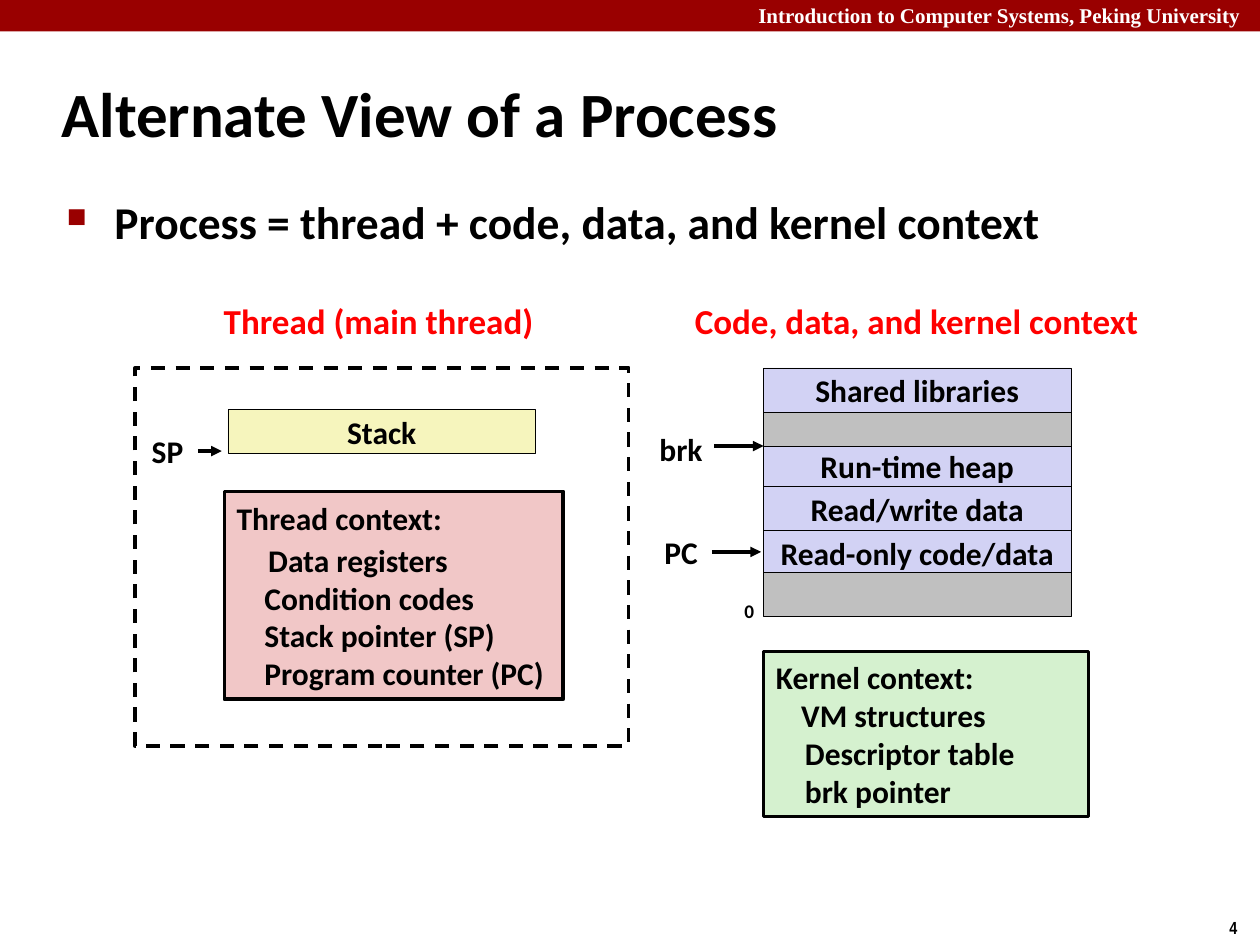
from dataclasses import dataclass

from lxml import etree
from pptx import Presentation, util as u
from pptx.dml.color import RGBColor
from pptx.enum import dml, shapes, text
from pptx.oxml.ns import qn

COLUMNS, ROWS = 100, 75
CELL = u.Inches(0.1)


@dataclass(frozen=True)
class Theme:
    font: str = "Calibri"
    header_font: str = "Times New Roman"
    number_font: str = "Arial Narrow"
    black: str = "000000"
    white: str = "FFFFFF"
    crimson: str = "990000"
    red: str = "FF0000"
    lilac: str = "D2D2F4"
    gray: str = "C0C0C0"
    yellow: str = "F6F5BD"
    pink: str = "F1C7C7"
    green: str = "D5F1CF"
    title: int = 36
    bullet: int = 26
    heading: int = 20
    label: int = 18
    header: int = 12
    zero: int = 11
    number: int = 10
    thin: float = 0.25
    thick: float = 2


THEME = Theme()
CENTER, LEFT = text.PP_ALIGN.CENTER, text.PP_ALIGN.LEFT
MIDDLE, TOP = text.MSO_ANCHOR.MIDDLE, text.MSO_ANCHOR.TOP


def grid(*cells):
    return [round(cell * CELL) for cell in cells]


def apply(target, values):
    for name, value in values.items():
        setattr(target, name, value)


def write(paragraph, words, size=THEME.label, color=THEME.black,
          font=THEME.font, align=CENTER):
    paragraph.text = words
    paragraph.alignment = align
    apply(paragraph.font, {"name": font, "size": u.Pt(size), "bold": True})
    paragraph.font.color.rgb = RGBColor.from_string(color)


def add_label(slide, area, words, anchor=MIDDLE, wrap=False, **style):
    frame = slide.shapes.add_textbox(*grid(*area)).text_frame
    apply(frame, {"word_wrap": wrap, "vertical_anchor": anchor})
    write(frame.paragraphs[0], words, **style)


def add_box(slide, area, fill=None, weight=THEME.thin, words=""):
    shape = slide.shapes.add_shape(shapes.MSO_SHAPE.RECTANGLE, *grid(*area))
    shape.shadow.inherit = False
    if fill:
        shape.fill.solid()
        shape.fill.fore_color.rgb = RGBColor.from_string(fill)
    else:
        shape.fill.background()
    if weight:
        shape.line.color.rgb = RGBColor.from_string(THEME.black)
        shape.line.width = u.Pt(weight)
    else:
        shape.line.fill.background()
    if words:
        apply(shape.text_frame, {"word_wrap": False, "vertical_anchor": MIDDLE})
        write(shape.text_frame.paragraphs[0], words)
    return shape


def add_context(slide, area, fill, heading, items, gap=0):
    frame = add_box(slide, area, fill, THEME.thick).text_frame
    apply(frame, {"word_wrap": True, "vertical_anchor": MIDDLE})
    write(frame.paragraphs[0], heading, align=LEFT)
    for index, (words, indent) in enumerate(items):
        paragraph = frame.add_paragraph()
        paragraph._p.get_or_add_pPr().set("marL", str(u.Inches(indent)))
        write(paragraph, words, align=LEFT)
        paragraph.space_before = u.Pt(0 if index else gap)


def add_bullet(slide, area, words):
    frame = slide.shapes.add_textbox(*grid(*area)).text_frame
    frame.word_wrap = True
    paragraph = frame.paragraphs[0]
    properties = paragraph._p.get_or_add_pPr()
    indent = u.Inches(0.38)
    apply_xml = {"marL": indent, "indent": -indent}
    for name, value in apply_xml.items():
        properties.set(name, str(value))
    color = etree.SubElement(properties, qn("a:buClr"))
    etree.SubElement(color, qn("a:srgbClr"), val=THEME.crimson)
    etree.SubElement(properties, qn("a:buSzPct"), val="60000")
    etree.SubElement(properties, qn("a:buChar"), char="■")
    write(paragraph, words, size=THEME.bullet, align=LEFT)


def add_arrow(slide, start, end, row):
    arrow = slide.shapes.add_connector(
        shapes.MSO_CONNECTOR.STRAIGHT, *grid(start, row, end, row))
    arrow.line.color.rgb = RGBColor.from_string(THEME.black)
    arrow.line.width = u.Pt(THEME.thick)
    etree.SubElement(arrow.line._get_or_add_ln(), qn("a:tailEnd"), type="triangle")
    etree.SubElement(arrow._element.spPr, qn("a:effectLst"))


def add_header(slide):
    add_box(slide, (0, 0, COLUMNS, 2.5), THEME.crimson, weight=0)
    add_label(slide, (59.2, -0.3, 41.5, 3),
              "Introduction to Computer Systems, Peking University", TOP, True,
              size=THEME.header, color=THEME.white, font=THEME.header_font, align=LEFT)
    add_label(slide, (96.6, 72.3, 3.4, 2.7), "4", TOP,
              size=THEME.number, font=THEME.number_font, align=LEFT)


def add_thread(slide):
    add_label(slide, (16.6, 23.2, 26.9, 4.4), "Thread (main thread)",
              size=THEME.heading, color=THEME.red)
    add_box(slide, (18.1, 32.5, 24.4, 3.5), THEME.yellow, words="Stack")
    add_context(slide, (17.8, 39, 26.9, 16.5), THEME.pink, "Thread context:", [
        ("Data registers", 0.25),
        ("Condition codes", 0.22),
        ("Stack pointer (SP)", 0.22),
        ("Program counter (PC)", 0.22),
    ], gap=2.4)
    frame = add_box(slide, (10.7, 29.2, 39.2, 30), weight=THEME.thick)
    frame.line.dash_style = dml.MSO_LINE.DASH


def add_memory(slide):
    add_label(slide, (53.6, 23.2, 38.3, 4.4), "Code, data, and kernel context",
              size=THEME.heading, color=THEME.red)
    segments = [
        ("Shared libraries", 3.5, 3.5),
        ("", 2.7, 2.8),
        ("Run-time heap", 3.2, 3.2),
        ("Read/write data", 3.5, 3.5),
        ("Read-only code/data", 3.3, 3.5),
        ("", 3.5, 3.5),
    ]
    row = 29.2
    for words, step, height in segments:
        fill = THEME.lilac if words else THEME.gray
        add_box(slide, (60.6, row, 24.4, height), fill, words=words)
        row += step
    add_label(slide, (58.1, 47.1, 2.8, 2.9), "0", TOP, size=THEME.zero, align=LEFT)
    add_context(slide, (60.6, 51.7, 25.8, 13.1), THEME.green, "Kernel context:", [
        ("VM structures", 0.2),
        ("Descriptor table", 0.23),
        ("brk pointer", 0.23),
    ])


def add_pointers(slide):
    pointers = [
        ("SP", (11, 33.8, 4.6, 4), (15.7, 17.6, 35.8)),
        ("PC", (51.7, 41.8, 4.7, 4), (56.5, 60.4, 43.8)),
        ("brk", (51.3, 33.6, 5.5, 4), (56.7, 60.6, 35.4)),
    ]
    for words, area, arrow in pointers:
        add_label(slide, area, words)
        add_arrow(slide, *arrow)


def main():
    presentation = Presentation()
    apply(presentation, {"slide_width": COLUMNS * CELL, "slide_height": ROWS * CELL})
    slide = presentation.slides.add_slide(presentation.slide_layouts[6])
    add_header(slide)
    add_label(slide, (3.9, 4.8, 83, 8.3), "Alternate View of a Process", wrap=True,
              size=THEME.title, align=LEFT)
    add_bullet(slide, (4.3, 14.9, 86.4, 6),
               "Process = thread + code, data, and kernel context")
    add_thread(slide)
    add_memory(slide)
    add_pointers(slide)
    presentation.save("out.pptx")


if __name__ == "__main__":
    main()
